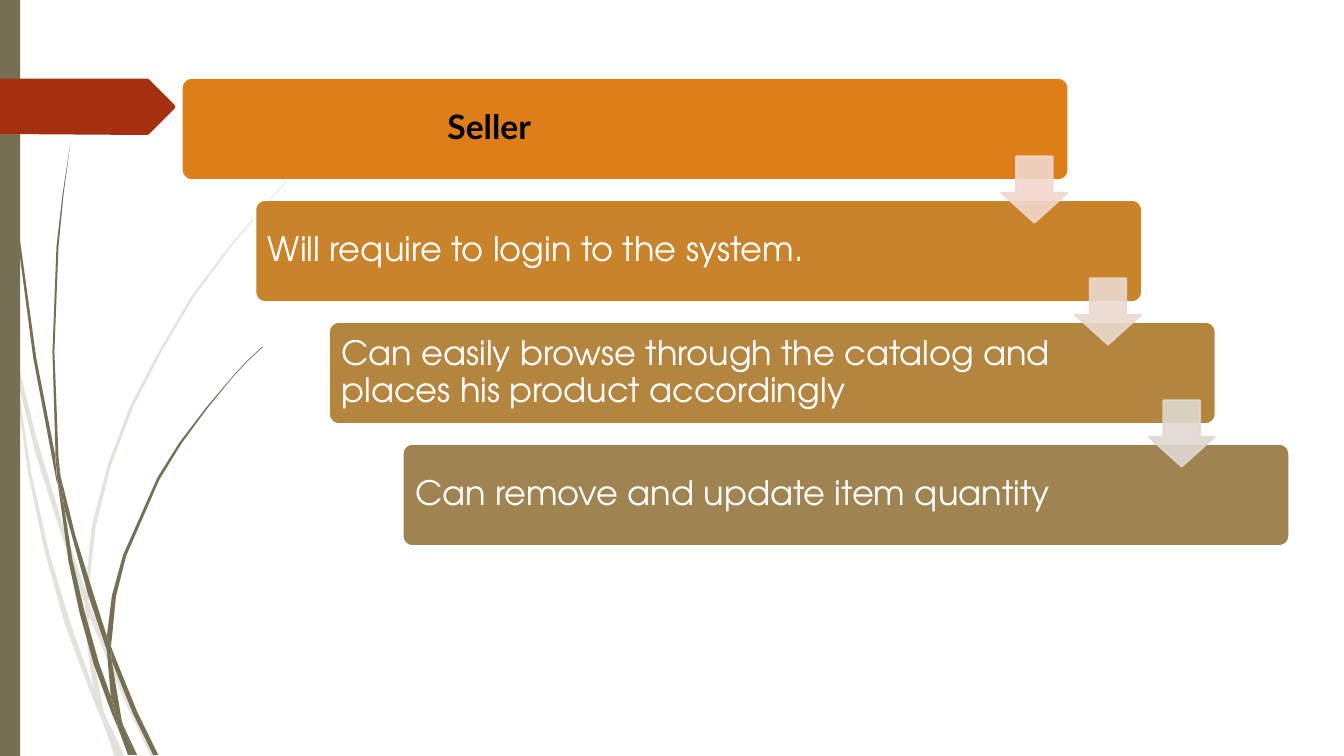
from dataclasses import dataclass

from pptx import Presentation
from pptx.dml.color import RGBColor
from pptx.enum import shapes, text
from pptx.oxml import ns
from pptx.oxml.xmlchemy import OxmlElement
from pptx.util import Inches, Pt

OLIVE = RGBColor(0x76, 0x6F, 0x54)
RUST = RGBColor(0xA5, 0x30, 0x10)
WHITE = RGBColor(0xFF, 0xFF, 0xFF)
BLACK = RGBColor(0x00, 0x00, 0x00)
BODY_FONT, TITLE_FONT = "TeX Gyre Adventor", "Lato"
STEP_X, STEP_Y = 0.73, 1.21


@dataclass
class Step:
    words: str
    fill: RGBColor
    font: str = BODY_FONT
    color: RGBColor = WHITE
    bold: bool = False
    indent: float = 0


STEPS = [
    Step("Seller", RGBColor(0xDE, 0x7E, 0x18), TITLE_FONT, BLACK, True, 2.51),
    Step("Will require to login to the system.", RGBColor(0xC9, 0x83, 0x2B)),
    Step("Can easily browse through the catalog and places his product accordingly",
         RGBColor(0xB4, 0x85, 0x3E)),
    Step("Can remove and update item quantity", RGBColor(0x9F, 0x83, 0x51)),
]
ARROW_COLORS = [RGBColor(0xF2, 0xD8, 0xCC), RGBColor(0xEA, 0xD9, 0xCE), RGBColor(0xDF, 0xD9, 0xD1)]


@dataclass
class Grass:
    """Each blade is an outline of x,y points in inches."""
    opacity: int
    blades: list[str]


PALE_GRASS = Grass(20, [
    "0.11,3.5 0.09,3.22 0,2.82 0,2.99 0.1,3.44",
    "0.58,5.22 0.84,5.99 0.85,5.86 0.62,5.2 0.36,4.34 0.14,3.45 0.17,3.76 0.35,4.49",
    "0.92,6.07 0.88,5.96 0.88,6.1 1.23,6.94 1.5,7.51 1.55,7.51 1.27,6.92",
    "1.19,7.51 1.24,7.51 1.05,7.11",
    "0.93,6.83 0.7,6.19 0.48,5.45 0.31,4.69 0.17,3.76 0.11,3.5 0.28,4.7 0.44,5.46 0.65,6.21"
    " 0.92,6.93 1.01,7.14 0.99,7.07",
    "0.84,5.99 0.87,6.46 0.93,6.83 0.96,6.92 1.05,7.11 1.03,7.06 0.91,6.46 0.88,6.1 0.88,6.08",
    "0.88,5.84 0.95,5.22 1.1,4.62 1.32,4.04 1.6,3.49 1.92,2.95 2.29,2.45 2.68,1.98 2.9,1.75 3.12,1.54"
    " 3.12,1.53 2.89,1.75 2.68,1.97 2.28,2.44 1.9,2.94 1.58,3.48 1.29,4.03 1.07,4.61 0.91,5.22"
    " 0.85,5.84 0.85,5.86 0.88,5.96",
    "1.01,7.14 1.14,7.51 1.19,7.51",
    "0.88,6.08 0.88,6.1 0.88,5.96 0.85,5.86 0.84,5.99",
    "0.96,6.92 0.93,6.83 0.99,7.07 1.01,7.14 1.19,7.51 1.05,7.11",
])
DARK_GRASS = Grass(100, [
    "0.07,1.1 0.17,2.33 0.33,3.55 0.56,4.77 0.57,4.81 0.55,4.57 0.55,4.53 0.36,3.55 0.19,2.32"
    " 0.08,1.09 0.05,0.48 0.04,0 0.03,0 0.04,0.48",
    "0.88,5.92 1.06,6.45 1.06,6.33 1.06,6.31 0.93,5.9 0.75,5.32 0.6,4.72 0.64,5.05",
    "1.13,6.49 1.1,6.41 1.11,6.56 1.32,7.08 1.52,7.49 1.57,7.49 1.36,7.06",
    "1.1,6.91 0.98,6.57 0.84,6.07 0.72,5.56 0.64,5.05 0.57,4.77 0.68,5.57 0.79,6.08 0.93,6.59"
    " 1.11,7.08 1.17,7.22 1.16,7.17",
    "0.6,4.72 0.58,4.53 0.54,3.49 0.58,2.45 0.63,1.93 0.7,1.41 0.62,1.93 0.56,2.45 0.52,3.49 0.55,4.49",
    "1.33,7.49 1.36,7.49 1.22,7.19",
    "0.57,4.77 0.64,5.05 0.6,4.72 0.55,4.49 0.55,4.53",
    "1.11,6.33 1.15,5.92 1.25,5.52 1.58,4.76 1.8,4.4 2.05,4.06 2.31,3.74 2.45,3.59 2.61,3.44 2.6,3.44"
    " 2.45,3.58 2.31,3.73 2.04,4.05 1.78,4.39 1.56,4.74 1.22,5.51 1.11,5.91 1.06,6.31 1.1,6.41",
    "1.17,7.22 1.27,7.49 1.31,7.49",
    "1.06,6.45 1.1,6.91 1.16,7.06 1.22,7.19 1.21,7.16 1.11,6.56 1.09,6.51",
    "1.06,6.45 1.09,6.51 1.11,6.56 1.1,6.41 1.06,6.31 1.06,6.33",
    "1.16,7.06 1.1,6.91 1.16,7.17 1.17,7.22 1.3,7.49 1.33,7.49 1.22,7.19",
])
TAG_OUTLINE = "0,0.78 1.46,0.78 1.48,0.79 1.73,1.04 1.74,1.06 1.73,1.08 1.48,1.33 1.46,1.34 0,1.33"


def paint(sp, fill: RGBColor, line: RGBColor | None = None, width: float = 0, opacity: int = 100) -> None:
    sp.shadow.inherit = False
    sp.fill.solid()
    sp.fill.fore_color.rgb = fill
    if line is None:
        sp.line.fill.background()
    else:
        sp.line.color.rgb = line
        sp.line.width = Pt(width)
    if opacity < 100:
        for color in list(sp._element.spPr.iter(ns.qn("a:srgbClr"))):
            alpha = OxmlElement("a:alpha")
            alpha.set("val", str(opacity * 1000))
            color.append(alpha)


def add_outline(parent, outline: str, fill: RGBColor, opacity: int = 100) -> None:
    pts = [tuple(Inches(float(v)) for v in point.split(",")) for point in outline.split()]
    builder = parent.build_freeform(*pts[0], scale=1.0)
    builder.add_line_segments(pts[1:], close=True)
    paint(builder.convert_to_shape(), fill, opacity=opacity)


def add_grass(s, grass: Grass) -> None:
    group = s.shapes.add_group_shape()
    for blade in grass.blades:
        add_outline(group.shapes, blade, OLIVE, grass.opacity)


def add_preset(s, kind, x: float, y: float, w: float, h: float, *adjustments: float):
    sp = s.shapes.add_shape(kind, Inches(x), Inches(y), Inches(w), Inches(h))
    for i, value in enumerate(adjustments):
        sp.adjustments[i] = value
    return sp


def add_step(s, index: int, step: Step) -> None:
    sp = add_preset(s, shapes.MSO_SHAPE.ROUNDED_RECTANGLE,
                    1.8 + index * STEP_X, 0.77 + index * STEP_Y, 8.8, 1.02, 0.1)
    paint(sp, step.fill, WHITE, 1.75)
    tf = sp.text_frame
    tf.word_wrap = True
    tf.vertical_anchor = text.MSO_ANCHOR.MIDDLE
    tf.margin_left = tf.margin_top = tf.margin_bottom = Inches(0.1)
    tf.margin_right = Inches(1.49)
    p = tf.paragraphs[0]
    p.alignment = text.PP_ALIGN.LEFT
    p.line_spacing = 0.9
    p._p.get_or_add_pPr().set("marL", str(Inches(step.indent)))
    r = p.add_run()
    r.text = step.words
    r.font.name, r.font.size, r.font.bold = step.font, Pt(24), step.bold
    r.font.color.rgb = step.color


def add_arrow(s, index: int, color: RGBColor) -> None:
    sp = add_preset(s, shapes.MSO_SHAPE.DOWN_ARROW,
                    9.93 + index * STEP_X, 1.55 + index * STEP_Y, 0.66, 0.66, 0.55, 0.45)
    paint(sp, color, color, 1.25, 90)


def main() -> None:
    prs = Presentation()
    prs.slide_width, prs.slide_height = Inches(13.33), Inches(7.5)
    s = prs.slides.add_slide(prs.slide_layouts[6])
    # Side decoration
    add_grass(s, PALE_GRASS)
    add_grass(s, DARK_GRASS)
    paint(add_preset(s, shapes.MSO_SHAPE.RECTANGLE, 0, 0, 0.2, 7.5), OLIVE)
    add_outline(s.shapes, TAG_OUTLINE, RUST)
    # Staircase of steps, then the arrows over it
    for i, step in enumerate(STEPS):
        add_step(s, i, step)
    for i, color in enumerate(ARROW_COLORS):
        add_arrow(s, i, color)
    prs.save("out.pptx")


if __name__ == "__main__":
    main()
